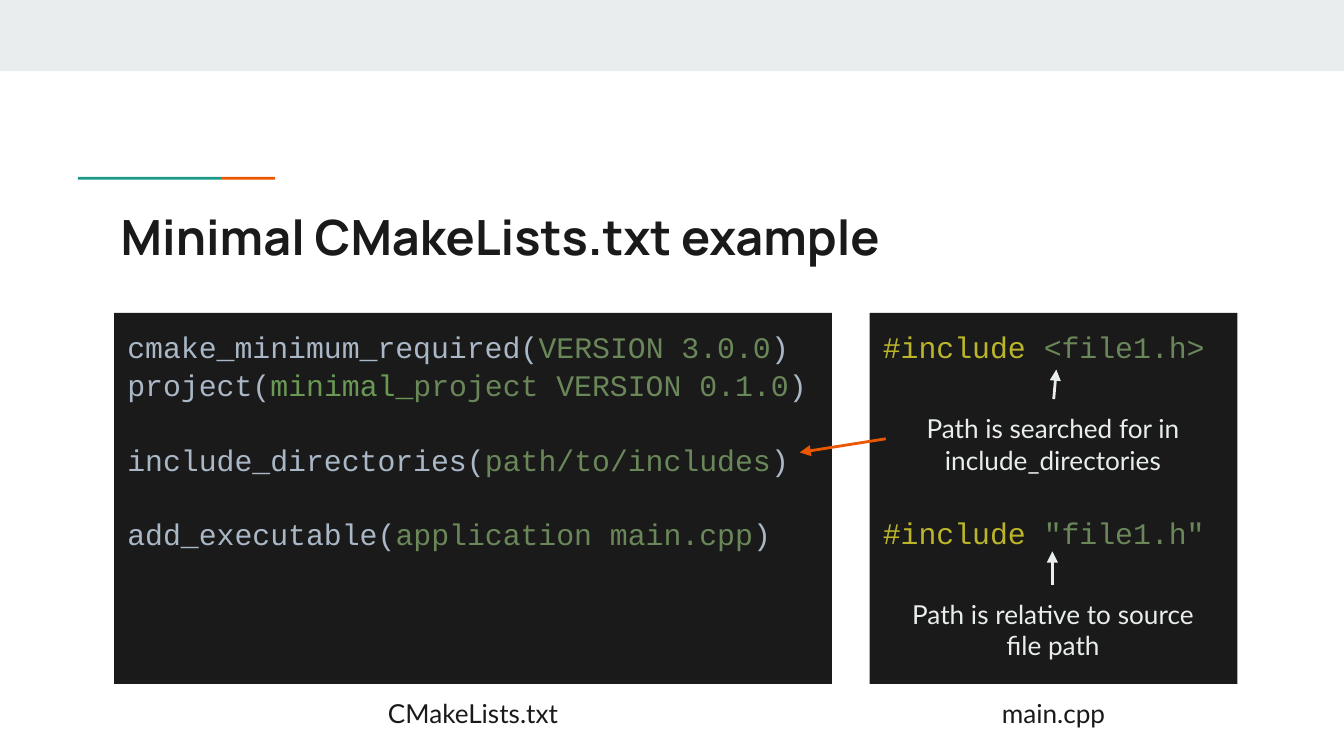
from lxml import etree
from pptx import Presentation
from pptx.dml.color import RGBColor
from pptx.enum.shapes import MSO_CONNECTOR, MSO_SHAPE
from pptx.enum.text import MSO_ANCHOR, PP_ALIGN
from pptx.oxml.ns import qn
from pptx.util import Pt

RECT = MSO_SHAPE.RECTANGLE
LINE = MSO_CONNECTOR.STRAIGHT
TOP = MSO_ANCHOR.TOP
LEFT, MID = PP_ALIGN.LEFT, PP_ALIGN.CENTER

THEME = dict(
    dark="1A1A1A", pale="E9EDEE", teal="1A9988", orange="EB5600",
    plain="A9B7C6", green="6A8759", lime="6A9955", gold="BBB529",
    title=("Manrope", 26), code=("Courier New", 16), note=("Lato", 14),
)

# Content: each code line is (space before, [(text, colour), ...])
TITLE = "Minimal CMakeLists.txt example"
STEP = 19.4
CMAKE = [
    (0, [("cmake_minimum_required(", "plain"), ("VERSION 3.0.0", "green"),
         (")", "plain")]),
    (0, [("project(", "plain"), ("minimal_", "lime"),
         ("project VERSION 0.1.0", "green"), (")", "plain")]),
    (STEP, [("include_directories(", "plain"), ("path/to/includes", "green"),
            (")", "plain")]),
    (STEP, [("add_executable(", "plain"), ("application main.cpp", "green"),
            (")", "plain")]),
]
MAIN = [
    (0, [("#include ", "gold"), ("<file1.h>", "green")]),
    (79.2, [("#include ", "gold"), ('"file1.h"', "green")]),
]
# Panels: left, width, code, caption
PANELS = [(61.2, 384.5, CMAKE, "CMakeLists.txt"),
          (465.9, 197, MAIN, "main.cpp")]
PANEL_TOP, PANEL_H, CAP_H = 167.6, 198.8, 29.5
# Notes: top, text
NOTES = [(213.8, "Path is searched for in include_directories"),
         (313.2, "Path is relative to source file path")]
# Arrows: start, end, colour
ARROWS = [((564.5, 213.8), (565.9, 198), "pale"),
          ((563.8, 313.2), (563.8, 295.4), "pale"),
          ((474.5, 235.1), (428.4, 242.4), "orange")]
# Bars: left, top, width, height, colour
BARS = [(0, 0, 720, 38.2, "pale"),
        (41.8, 94.8, 76.6, 1.5, "teal"),
        (118.4, 94.8, 29, 1.5, "orange")]


def tint(name):
    return RGBColor.from_string(THEME[name])


def style(run, kind, color, bold=False):
    run.font.name, size = THEME[kind]
    run.font.size = Pt(size)
    run.font.bold = bold
    run.font.color.rgb = tint(color)


def setup(frame):
    frame.word_wrap = True
    frame.vertical_anchor = TOP
    frame.margin_left = frame.margin_right = Pt(7.2)
    frame.margin_top = frame.margin_bottom = Pt(7.2)


def block(slide, x, y, w, h, color):
    shape = slide.shapes.add_shape(RECT, Pt(x), Pt(y), Pt(w), Pt(h))
    shape.shadow.inherit = False
    shape.fill.solid()
    shape.fill.fore_color.rgb = tint(color)
    shape.line.fill.background()
    return shape


def label(slide, x, y, w, h, text, kind, color, align=MID, bold=False):
    frame = slide.shapes.add_textbox(Pt(x), Pt(y), Pt(w), Pt(h)).text_frame
    setup(frame)
    frame.text = text
    para = frame.paragraphs[0]
    para.alignment = align
    style(para.runs[0], kind, color, bold)


def fill_code(frame, lines):
    setup(frame)
    frame.text = "\n".join("".join(t for t, _ in parts) for _, parts in lines)
    for para, (gap, parts) in zip(frame.paragraphs, lines):
        para.alignment = LEFT
        para.line_spacing = 1.07
        if gap:
            para.space_before = Pt(gap)
        # Split the line into one run per colour
        for i, (text, color) in enumerate(parts):
            run = para.add_run() if i else para.runs[0]
            run.text = text
            style(run, "code", color)


def arrow(slide, start, end, color):
    ends = [Pt(v) for v in start + end]
    link = slide.shapes.add_connector(LINE, *ends)
    link.line.color.rgb = tint(color)
    link.line.width = Pt(1.5)
    props = link.element.spPr
    etree.SubElement(props.find(qn("a:ln")), qn("a:tailEnd"), type="triangle")
    etree.SubElement(props, qn("a:effectLst"))


def main():
    deck = Presentation()
    deck.slide_width, deck.slide_height = Pt(720), Pt(405)
    slide = deck.slides.add_slide(deck.slide_layouts[6])

    # Top band, accent rule and title
    for bar in BARS:
        block(slide, *bar)
    label(slide, 57.6, 103.7, 605.5, 42.5, TITLE, "title", "dark", LEFT, True)

    # Code panels with captions
    for x, w, code, name in PANELS:
        panel = block(slide, x, PANEL_TOP, w, PANEL_H, "dark")
        fill_code(panel.text_frame, code)
        label(slide, x, PANEL_TOP + PANEL_H, w, CAP_H, name, "note", "dark")

    # Notes and arrows
    for y, text in NOTES:
        label(slide, 474.5, y, 179.3, 42.5, text, "note", "pale")
    for item in ARROWS:
        arrow(slide, *item)

    deck.save("out.pptx")


if __name__ == "__main__":
    main()
